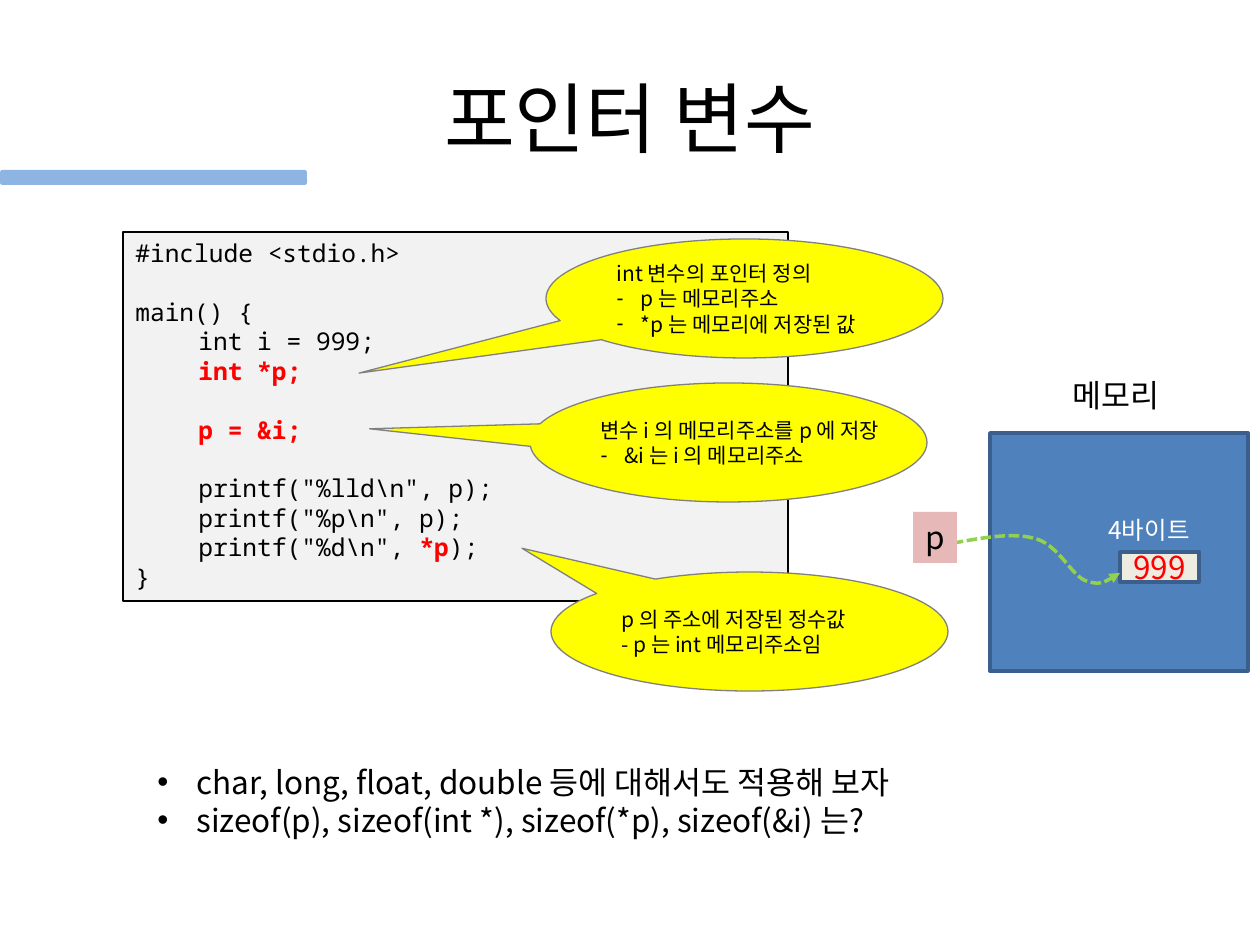
from lxml import etree
from pptx import Presentation
from pptx import util as u
from pptx.dml.color import RGBColor
from pptx.enum import dml, shapes, text
from pptx.oxml.ns import qn
from pptx.text.text import Font

PX = u.Inches(1) // 126
SANS, MONO = "Noto Sans CJK KR", "Noto Sans Mono"
COLORS = {
    "black": "000000", "white": "FFFFFF", "red": "FF0000", "code": "F2F2F2",
    "callout": "FFFF00", "callout_line": "808080", "memory": "4F81BD",
    "memory_line": "3A5F8C", "cell": "EEECE1", "arrow": "92D050",
    "pointer": "E6B9B8", "bar": "8EB4E3",
}
# Parts between @ signs are highlighted.
CODE = r"""#include <stdio.h>

main() {
	int i = 999;
	@int *p;@

	@p = &i;@

	printf("%lld\n", p);
	printf("%p\n", p);
	printf("%d\n", @*p@);
}"""
# Position, pointer tip as a share of the size, heading, text, bullet
CALLOUTS = [
    ((546, 239), (-0.971, 0.627), "int 변수의 포인터 정의",
     ["p 는 메모리주소", "*p 는 메모리에 저장된 값"], "-"),
    ((530, 383), (-0.904, -0.115), "변수 i 의 메모리주소를 p 에 저장",
     ["&i 는 i 의 메모리주소"], "-"),
    ((551, 572), (-0.573, -0.7), "p 의 주소에 저장된 정수값",
     ["- p 는 int 메모리주소임"], None),
]
EXERCISES = ["char, long, float, double 등에 대해서도 적용해 보자",
             "sizeof(p), sizeof(int *), sizeof(*p), sizeof(&i) 는?"]
# Start point, then two control points and an end point for each curve
ARROW = [(939, 546), (974, 539), (1009, 532), (1033, 538), (1057, 543),
         (1070, 573), (1084, 580), (1099, 586), (1109, 580), (1120, 573)]


def rgb(name):
    return RGBColor.from_string(COLORS[name])


def emu(values):
    return [value * PX for value in values]


def style_font(font, size, color="black", name=SANS):
    font.size, font.name = u.Pt(size), name
    font.color.rgb = rgb(color)


def style_run(run, size, color="black", name=SANS):
    style_font(run.font, size, color, name)
    latin = run._r.rPr.find(qn("a:latin"))
    east_asian = etree.Element(qn("a:ea"), typeface=name)
    latin.addnext(east_asian)


def write_lines(shape, lines, size, color="black", wrap=False,
                align=text.PP_ALIGN.LEFT, anchor=text.MSO_ANCHOR.TOP):
    frame = shape.text_frame
    frame.text = "\n".join(lines)
    frame.word_wrap, frame.vertical_anchor = wrap, anchor
    for paragraph in frame.paragraphs:
        paragraph.alignment = align
        for run in paragraph.runs:
            style_run(run, size, color)


def add_label(slide, box, lines, size, **options):
    shape = slide.shapes.add_textbox(*emu(box))
    write_lines(shape, lines, size, **options)
    return shape


def add_filled(slide, kind, box, fill, line=None, width=0.75):
    shape = slide.shapes.add_shape(kind, *emu(box))
    shape.shadow.inherit = False
    shape.fill.solid()
    shape.fill.fore_color.rgb = rgb(fill)
    if line:
        shape.line.color.rgb = rgb(line)
        shape.line.width = u.Pt(width)
    else:
        shape.line.fill.background()
    return shape


def add_bullets(paragraphs, char, indent):
    for paragraph in paragraphs:
        properties = paragraph._p.get_or_add_pPr()
        properties.set("marL", str(indent * PX))
        properties.set("indent", str(-indent * PX))
        etree.SubElement(properties, qn("a:buFont"), typeface="Arial")
        etree.SubElement(properties, qn("a:buChar"), char=char)


def add_code(slide, box):
    shape = add_filled(slide, shapes.MSO_SHAPE.RECTANGLE, box, "code", "black")
    frame = shape.text_frame
    frame.vertical_anchor = text.MSO_ANCHOR.TOP
    for number, line in enumerate(CODE.split("\n")):
        paragraph = frame.add_paragraph() if number else frame.paragraphs[0]
        paragraph.alignment = text.PP_ALIGN.LEFT
        if not line:
            style_font(Font(paragraph._p.get_or_add_endParaRPr()), 14, name=MONO)
            continue
        for index, part in enumerate(line.split("@")):
            if part:
                run = paragraph.add_run()
                run.text = part
                highlighted = index % 2 == 1
                style_run(run, 14, "red" if highlighted else "black", MONO)
                run.font.bold = highlighted


def add_callout(slide, position, tip, heading, details, bullet):
    shape = add_filled(slide, shapes.MSO_SHAPE.OVAL_CALLOUT,
                       (*position, 397, 119), "callout", "callout_line")
    for index, value in enumerate(tip):
        shape.adjustments[index] = value
    write_lines(shape, [heading, *details], 12, anchor=text.MSO_ANCHOR.MIDDLE)
    if bullet:
        add_bullets(shape.text_frame.paragraphs[1:], bullet, 24)


def add_curved_arrow(slide, points):
    """Draw cubic curves: each three points after the start make one curve."""
    builder = slide.shapes.build_freeform(*points[0], scale=PX)
    builder.add_line_segments(points[1:], close=False)
    shape = builder.convert_to_shape()
    shape.shadow.inherit = False
    shape.fill.background()
    shape.line.color.rgb = rgb("arrow")
    shape.line.width = u.Pt(2)
    shape.line.dash_style = dml.MSO_LINE.SQUARE_DOT
    etree.SubElement(shape.line._get_or_add_ln(), qn("a:tailEnd"), type="triangle")
    outline = next(shape._element.iter(qn("a:path")))
    segments = outline.findall(qn("a:lnTo"))
    for start in range(0, len(segments), 3):
        curve = etree.SubElement(outline, qn("a:cubicBezTo"))
        for segment in segments[start:start + 3]:
            curve.append(segment[0])
            outline.remove(segment)


def add_memory(slide):
    rectangle = shapes.MSO_SHAPE.RECTANGLE
    add_filled(slide, rectangle, (990, 433, 258, 238), "memory", "memory_line", 2)
    cell = add_filled(slide, rectangle, (1120, 552, 79, 30), "cell", "memory_line", 2)
    write_lines(cell, ["999"], 18, "red", wrap=True,
                align=text.PP_ALIGN.CENTER, anchor=text.MSO_ANCHOR.MIDDLE)
    add_label(slide, (1096, 509, 113, 43), ["4바이트"], 14, color="white")
    add_curved_arrow(slide, ARROW)
    pointer = add_filled(slide, rectangle, (913, 512, 44, 51), "pointer")
    write_lines(pointer, ["p"], 18)
    add_label(slide, (1060, 370, 121, 51), ["메모리"], 18)


def main():
    presentation = Presentation()
    presentation.slide_width, presentation.slide_height = emu((1260, 945))
    slide = presentation.slides.add_slide(presentation.slide_layouts[6])
    add_label(slide, (63, 38, 1134, 157), ["포인터 변수"], 44, wrap=True,
              align=text.PP_ALIGN.CENTER, anchor=text.MSO_ANCHOR.MIDDLE)
    add_code(slide, (123, 232, 665, 369))
    for callout in CALLOUTS:
        add_callout(slide, *callout)
    exercises = add_label(slide, (145, 757, 803, 89), EXERCISES, 18)
    add_bullets(exercises.text_frame.paragraphs, "•", 39)
    add_memory(slide)
    add_filled(slide, shapes.MSO_SHAPE.ROUNDED_RECTANGLE, (0, 170, 307, 15), "bar")
    presentation.save("out.pptx")


if __name__ == "__main__":
    main()
